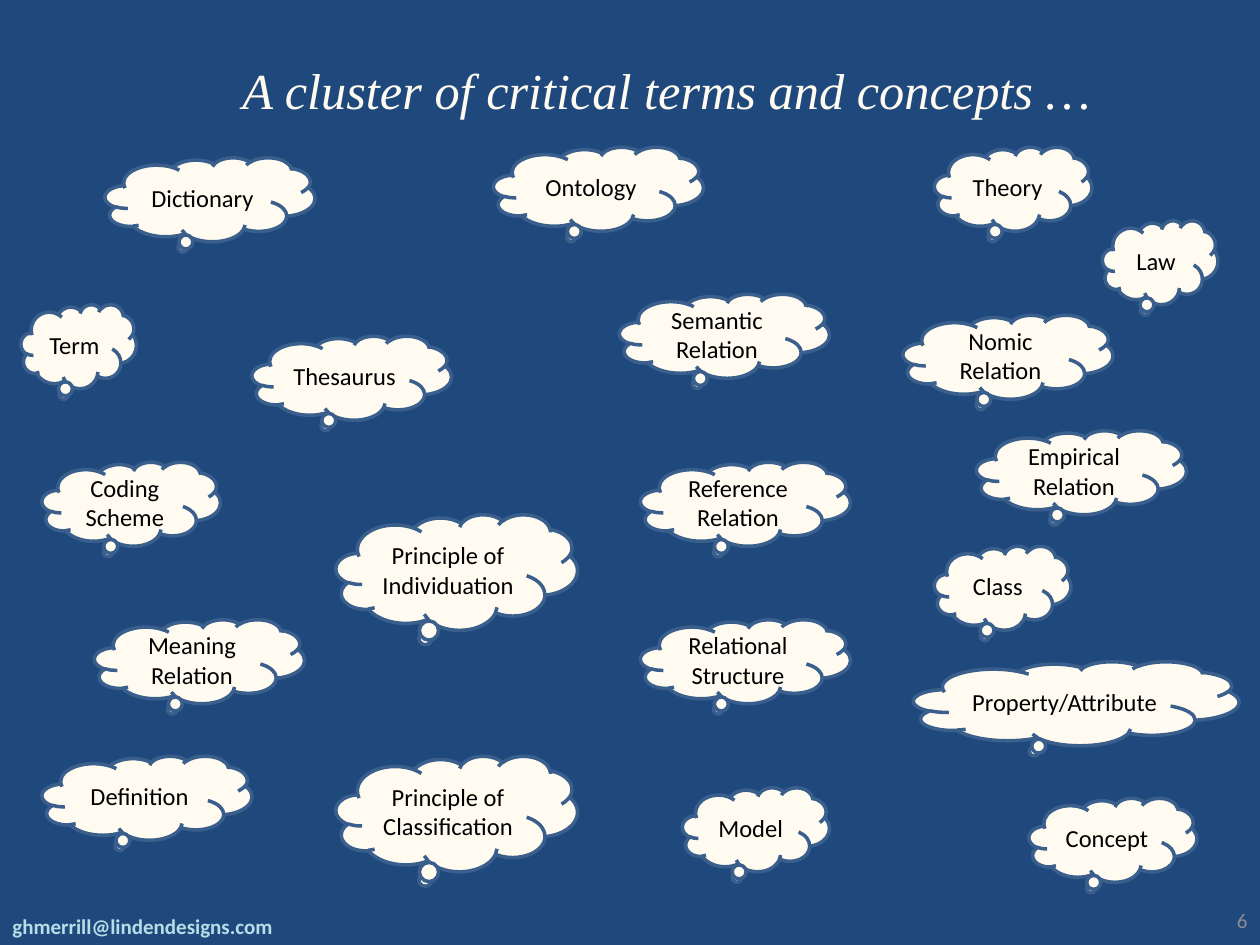
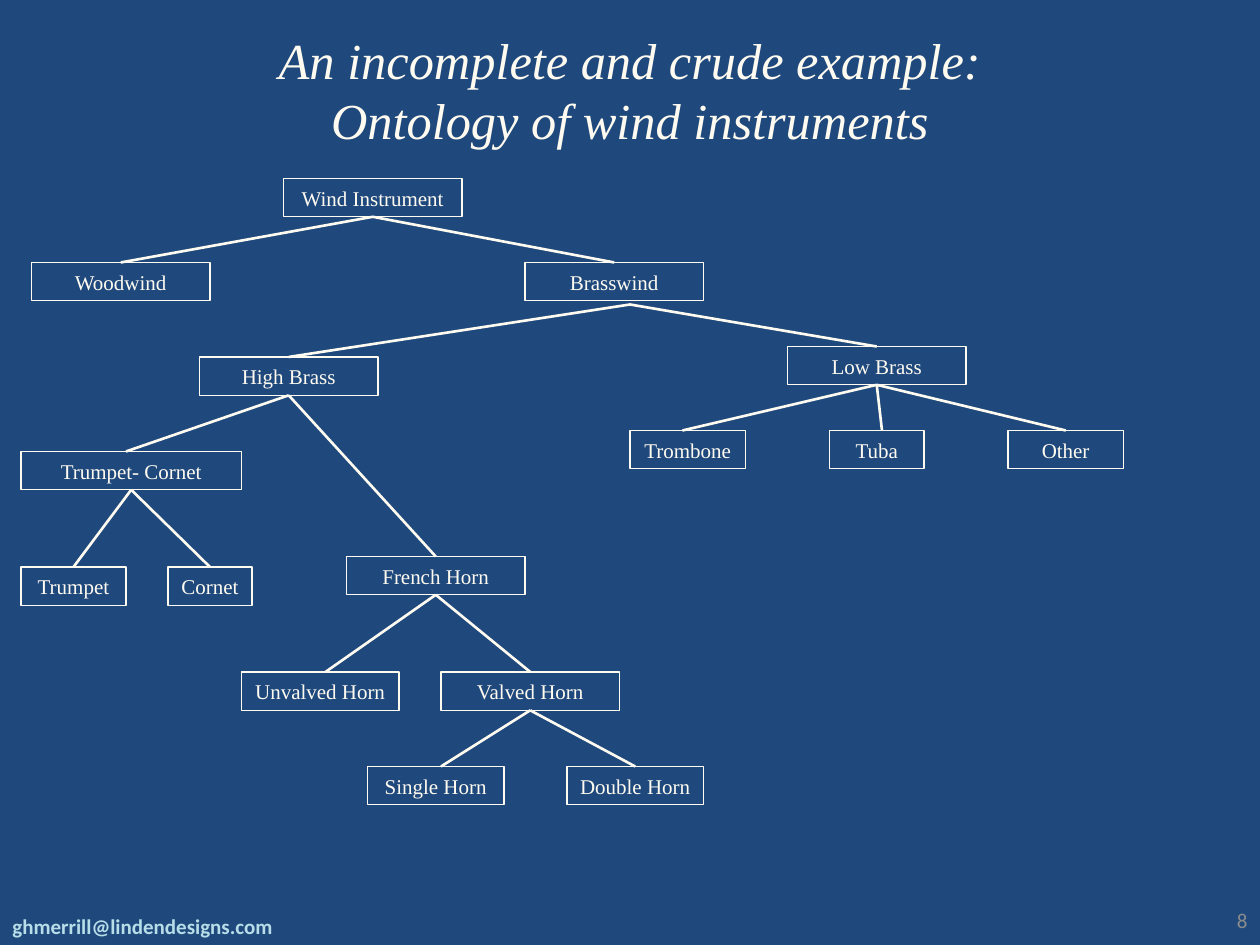
from lxml.etree import SubElement
from pptx import Presentation
from pptx.dml.color import RGBColor
from pptx.enum.shapes import MSO_CONNECTOR, MSO_SHAPE
from pptx.enum.text import MSO_ANCHOR, MSO_AUTO_SIZE, PP_ALIGN
from pptx.oxml.ns import qn
from pptx.util import Inches, Pt

COLS, ROWS = 120, 90
CELL = Inches(10) / COLS
NAVY, IVORY, BLACK = "1F497D", "FFFBF0", "000000"
CLOUD_EDGE, PALE_BLUE, GREY = "3A5F8C", "B7DEE8", "8C8C8C"
SERIF, SANS = "Times New Roman", "Calibri"
TITLE_ONLY = 5
BOTTOM, TOP = 2, 0
CLOUD_H, BOX_H = 8, 3.65

CLOUDS = [
    ("Dictionary", 10, 15, 20),
    ("Thesaurus", 24, 32, 19),
    ("Term", 2, 29, 11),
    ("Concept", 98, 76, 16),
    ("Ontology", 47, 14, 20),
    ("Coding Scheme", 4, 44, 17),
    ("Class", 89, 52, 13),
    ("Property/Attribute", 87, 63, 31),
    ("Theory", 89, 14, 15),
    ("Definition", 4, 72, 20),
    ("Relational Structure", 61, 59, 20),
    ("Model", 65, 75, 14),
    ("Semantic Relation", 59, 28, 20),
    ("Meaning Relation", 9, 59, 20),
    ("Reference Relation", 61, 44, 20),
    ("Law", 105, 21, 11),
    ("Empirical Relation", 93, 41, 20),
    ("Nomic Relation", 86, 30, 20),
    ("Principle of Individuation", 32, 49, 23, 11),
    ("Principle of Classification", 32, 72, 23, 11),
]

INSTRUMENTS = [
    ("Wind Instrument", 27, 17, 17),
    ("Woodwind", 3, 25, 17),
    ("Brasswind", 50, 25, 17),
    ("High Brass", 19, 34, 17),
    ("Low Brass", 75, 33, 17),
    ("Trumpet- Cornet", 2, 43, 21),
    ("French Horn", 33, 53, 17),
    ("Unvalved Horn", 23, 64, 15),
    ("Valved Horn", 42, 64, 17),
    ("Trumpet", 2, 54, 10),
    ("Cornet", 16, 54, 8),
    ("Single Horn", 35, 73, 13),
    ("Double Horn", 54, 73, 13),
    ("Trombone", 60, 41, 11),
    ("Tuba", 79, 41, 9),
    ("Other", 96, 41, 11),
]

CHILDREN = {
    "Wind Instrument": ["Woodwind", "Brasswind"],
    "Brasswind": ["High Brass", "Low Brass"],
    "High Brass": ["Trumpet- Cornet", "French Horn"],
    "Low Brass": ["Trombone", "Tuba", "Other"],
    "Trumpet- Cornet": ["Trumpet", "Cornet"],
    "French Horn": ["Unvalved Horn", "Valved Horn"],
    "Valved Horn": ["Single Horn", "Double Horn"],
}

LOOSE_STARTS = {"Brasswind": (60, 29)}
LOOSE_ENDS = {
    "Trumpet- Cornet": (12, 43),
    "Trombone": (65, 41),
    "Tuba": (84, 41),
    "Unvalved Horn": (31, 64),
    "Single Horn": (42, 73),
}


def rgb(value):
    return RGBColor.from_string(value)


def grid(*cells):
    return [round(cell * CELL) for cell in cells]


def write(sp, text, font, size, color, align=PP_ALIGN.CENTER, wrap=True,
          bold=False, italic=False):
    tf = sp.text_frame
    tf.text = text
    tf.word_wrap = wrap
    tf.auto_size = MSO_AUTO_SIZE.NONE
    tf.vertical_anchor = MSO_ANCHOR.MIDDLE
    for p in tf.paragraphs:
        p.alignment = align
        for r in p.runs:
            r.font.name, r.font.size = font, Pt(size)
            r.font.bold, r.font.italic = bold, italic
            r.font.color.rgb = rgb(color)


def add_label(slide, text, cells, color, align, bold=False):
    sp = slide.shapes.add_textbox(*grid(*cells))
    write(sp, text, SANS, 12, color, align, bold=bold)


def add_slide(prs, title, col, width, number):
    slide = prs.slides.add_slide(prs.slide_layouts[TITLE_ONLY])
    sp = slide.shapes.title
    sp.left, sp.top, sp.width, sp.height = grid(col, 3, width, 11)
    write(sp, title, SERIF, 28.8, IVORY, italic=True)
    add_label(slide, number, (92, 85.2, 28, 4.8), GREY, PP_ALIGN.RIGHT)
    add_label(slide, "ghmerrill@lindendesigns.com", (0, 86.4, 38, 3.6),
              PALE_BLUE, PP_ALIGN.LEFT, bold=True)
    return slide


def add_outlined(slide, kind, cells, edge, weight):
    sp = slide.shapes.add_shape(kind, *grid(*cells))
    sp.shadow.inherit = False
    sp.line.color.rgb = rgb(edge)
    sp.line.width = Pt(weight)
    return sp


def add_cloud(slide, text, col, row, width, height=CLOUD_H):
    sp = add_outlined(slide, MSO_SHAPE.CLOUD_CALLOUT,
                      (col, row, width, height), CLOUD_EDGE, 2)
    sp.adjustments[0], sp.adjustments[1] = -0.134, 0.591
    sp.fill.solid()
    sp.fill.fore_color.rgb = rgb(IVORY)
    write(sp, text, SANS, 14, BLACK)


def add_box(slide, text, col, row, width):
    sp = add_outlined(slide, MSO_SHAPE.RECTANGLE,
                      (col, row, width, BOX_H), IVORY, 0.75)
    sp.fill.background()
    write(sp, text, SERIF, 12, IVORY, wrap=False)
    return sp


def add_branch(slide, boxes, parent, child):
    start = LOOSE_STARTS.get(parent, (0, 0))
    end = LOOSE_ENDS.get(child, (0, 0))
    line = slide.shapes.add_connector(MSO_CONNECTOR.STRAIGHT,
                                      *grid(*start, *end))
    if parent not in LOOSE_STARTS:
        line.begin_connect(boxes[parent], BOTTOM)
    if child not in LOOSE_ENDS:
        line.end_connect(boxes[child], TOP)
    line.line.color.rgb = rgb(IVORY)
    line.line.width = Pt(1.5)
    SubElement(line._element.spPr, qn("a:effectLst"))


def add_terms_slide(prs):
    slide = add_slide(prs, "A cluster of critical terms and concepts …",
                      19, 89, "6")
    for cloud in CLOUDS:
        add_cloud(slide, *cloud)


def add_ontology_slide(prs):
    slide = add_slide(prs, "An incomplete and crude example:\v"
                      "Ontology of wind instruments", 12, 96, "8")
    boxes = {box[0]: add_box(slide, *box) for box in INSTRUMENTS}
    for parent, children in CHILDREN.items():
        for child in children:
            add_branch(slide, boxes, parent, child)


def main():
    prs = Presentation()
    prs.slide_width, prs.slide_height = grid(COLS, ROWS)
    fill = prs.slide_master.background.fill
    fill.solid()
    fill.fore_color.rgb = rgb(NAVY)
    add_terms_slide(prs)
    add_ontology_slide(prs)
    prs.save("out.pptx")


if __name__ == "__main__":
    main()
